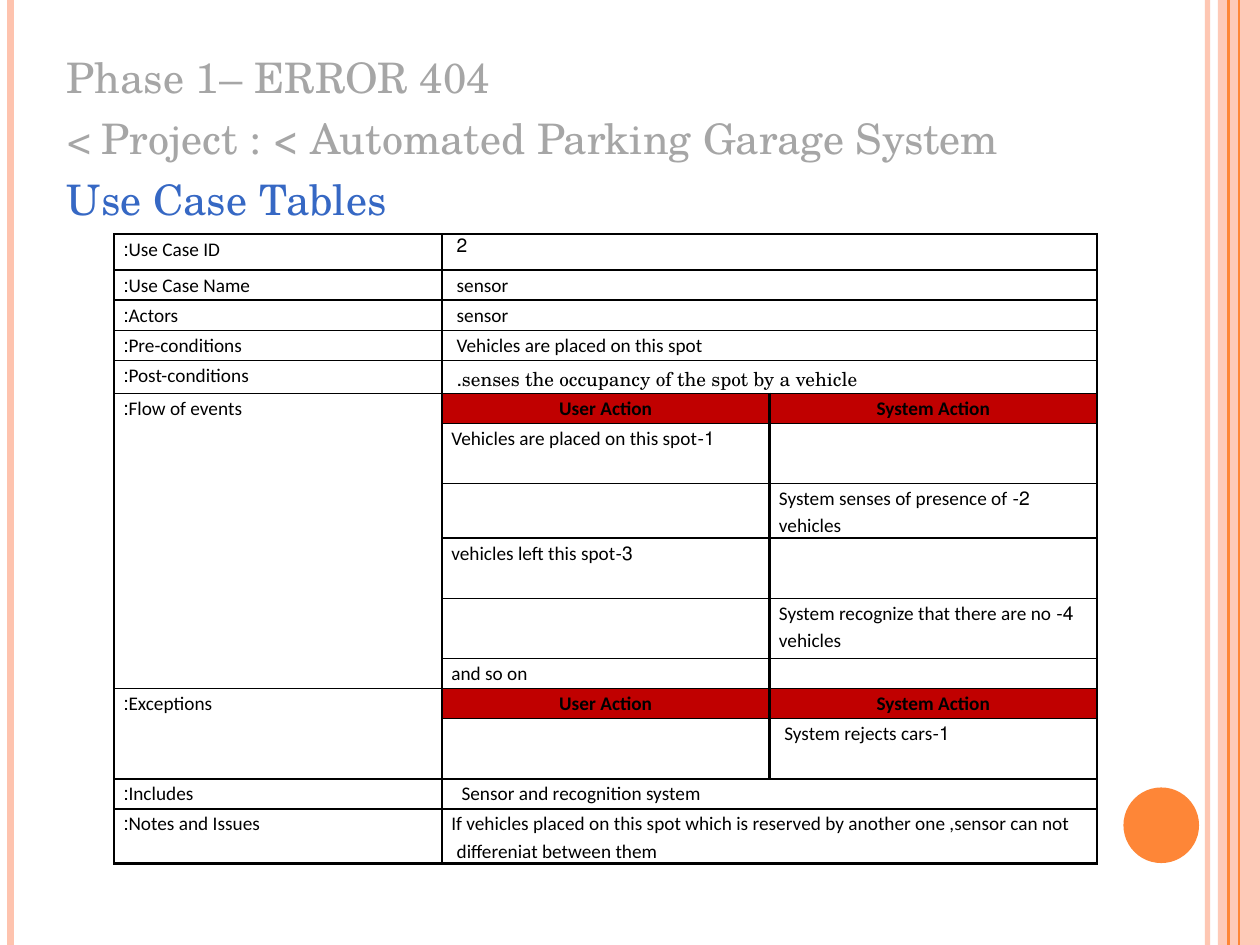
import pptx
import pptx.util
import pptx.dml.color
import pptx.enum.dml
import pptx.enum.shapes
import pptx.enum.text
import pptx.oxml
import pptx.oxml.ns
from lxml import etree

Pt = pptx.util.Pt
RGB = pptx.dml.color.RGBColor.from_string
qn = pptx.oxml.ns.qn
ALIGN = pptx.enum.text.PP_ALIGN

THEME = {
    "orange": "FE8637", "peach": "FEC3AE", "gray": "A6A6A6", "blue": "3668C4",
    "red": "C00000", "black": "000000",
    "serif": "TeX Gyre Schola", "sans": "Calibri",
    "heading": 24, "cell": 11, "stop": 12,
}


def add_run(p, text, font, size, color, bold=False):
    """Add one formatted run to a right-to-left paragraph."""
    p._p.get_or_add_pPr().set("rtl", "1")
    r = p.add_run()
    r.text = text
    r.font.name, r.font.size, r.font.bold = font, Pt(size), bold
    r.font.color.rgb = RGB(color)


def add_borders(cell, widths):
    """Give a cell solid borders; widths maps the sides L, R, T, B to points."""
    tcPr = cell._tc.get_or_add_tcPr()
    for i, side in enumerate(s for s in "LRTB" if s in widths):
        ln = etree.Element(qn("a:ln" + side), w=str(Pt(widths[side])))
        fill = etree.SubElement(ln, qn("a:solidFill"))
        etree.SubElement(fill, qn("a:srgbClr"), val=THEME["black"])
        tcPr.insert(i, ln)


prs = pptx.Presentation()
prs.slide_width, prs.slide_height = Pt(720), Pt(540)
s = prs.slides.add_slide(prs.slide_layouts[1])
s.shapes.title._element.getparent().remove(s.shapes.title._element)

# Side stripes: x, width, colour, opacity in percent
band = s.shapes.add_shape(pptx.enum.shapes.MSO_SHAPE.RECTANGLE, Pt(696), 0, Pt(24), Pt(540))
dot = s.shapes.add_shape(pptx.enum.shapes.MSO_SHAPE.OVAL, Pt(642), Pt(450), Pt(43.2), Pt(43.2))
for shape, color, opacity in ((band, "peach", 87), (dot, "orange", 100)):
    shape.shadow.inherit = False
    shape.line.fill.background()
    shape.fill.solid()
    shape.fill.fore_color.rgb = RGB(THEME[color])
    clr = shape._element.spPr.find(".//" + qn("a:srgbClr"))
    etree.SubElement(clr, qn("a:alpha"), val=str(opacity * 1000))

stripes = [(690, 3, "peach", 93), (6, 4.5, "peach", 100),
           (702, 1.5, "orange", 100), (708, 0.75, "orange", 100)]
for x, width, color, opacity in stripes:
    stripe = s.shapes.add_connector(pptx.enum.shapes.MSO_CONNECTOR.STRAIGHT, Pt(x), 0, Pt(x), Pt(540))
    stripe.line.width = Pt(width)
    stripe.line.color.rgb = RGB(THEME[color])
    clr = stripe._element.spPr.find(".//" + qn("a:srgbClr"))
    etree.SubElement(clr, qn("a:alpha"), val=str(opacity * 1000))
    etree.SubElement(stripe._element.spPr, qn("a:effectLst"))

# Headings
body = s.placeholders[1]
body.left, body.top, body.width, body.height = Pt(31), Pt(26), Pt(641), Pt(484)
tf = body.text_frame
tf.auto_size = pptx.enum.text.MSO_AUTO_SIZE.NONE
tf.vertical_anchor = pptx.enum.text.MSO_ANCHOR.TOP
headings = [("Phase 1– ERROR 404", "gray"),
            ("Project : < Automated Parking Garage System >", "gray"),
            ("Use Case Tables", "blue")]
for i, (text, color) in enumerate(headings):
    p = tf.add_paragraph() if i else tf.paragraphs[0]
    p.alignment = ALIGN.LEFT
    p.space_before = Pt(6)
    pPr = p._p.get_or_add_pPr()
    pPr.set("marL", "0")
    pPr.set("indent", "0")
    etree.SubElement(pPr, qn("a:buNone"))
    add_run(p, text, THEME["serif"], THEME["heading"], THEME[color])

# Use case table: height, then cell texts; a two-item row spans columns 2-3
HEADER = ("User Action", "System Action")
rows = [
    (20.6, "Use Case ID:", "2\u00a0"),
    (17.2, "Use Case Name:", "sensor\u00a0"),
    (17.2, "Actors:", "sensor\u00a0"),
    (17.2, "Pre-conditions:", "Vehicles are placed on this spot\u00a0"),
    (18.9, "Post-conditions:", "senses the occupancy of the spot by a vehicle.\u00a0"),
    (17.2, "Flow\u00a0of\u00a0events:", *HEADER),
    (34.4, "", "1-Vehicles are placed on this spot", ""),
    (31.2, "", "", "2- System senses of presence of vehicles"),
    (34.4, "", "3-vehicles left this spot", ""),
    (34.4, "", "", "4- System recognize that there are no vehicles"),
    (17.2, "", "and so on", ""),
    (17.2, "Exceptions:", *HEADER),
    (34.4, "", "", "1-System rejects cars\u00a0"),
    (17.2, "Includes:", "Sensor and recognition system \u00a0"),
    (31.2, "Notes and Issues:", "If vehicles placed on this spot which is reserved by another one ,"
                                "sensor can not differeniat between them\u00a0"),
]
frame = s.shapes.add_table(len(rows), 3, Pt(65.3), Pt(133.8), Pt(561.6), Pt(sum(r[0] for r in rows)))
table = frame.table
table.first_row = table.horz_banding = False
style = table._tbl.tblPr.find(qn("a:tableStyleId"))
style.text = "{2D5ABB26-0587-4C30-8999-92F81FD0307C}"
for column in table.columns:
    column.width = Pt(187.2)
for first, last in ((5, 10), (11, 12)):
    table.cell(first, 0).merge(table.cell(last, 0))

for i, (height, *texts) in enumerate(rows):
    table.rows[i].height = Pt(height)
    if len(texts) == 2:
        table.cell(i, 1).merge(table.cell(i, 2))
        texts.append("")
    for j, text in enumerate(texts):
        cell = table.cell(i, j)
        cell.margin_left = cell.margin_right = Pt(5.4)
        cell.margin_top = cell.margin_bottom = 0
        is_header = text in HEADER
        if is_header:
            cell.fill.solid()
            cell.fill.fore_color.rgb = RGB(THEME["red"])
        else:
            cell.fill.background()

        widths = {"L": 1.5 if j != 1 else 1,
                  "R": 1.5 if j == 2 or cell.is_merge_origin and j == 1 else 1.5 if j == 1 else 1,
                  "T": 1.5 if i == 0 else 1,
                  "B": 1.5 if i == len(rows) - 1 else 1}
        if cell.is_spanned:
            hidden = "TB" if j == 0 else "L"
            widths = {side: w for side, w in widths.items() if side not in hidden}
        add_borders(cell, widths)

        p = cell.text_frame.paragraphs[0]
        p.alignment = ALIGN.CENTER if is_header else ALIGN.LEFT
        if not text:
            p._p.get_or_add_endParaRPr().set("sz", str(THEME["cell"] * 100))
            continue
        p.line_spacing = 1.15
        p.space_after = Pt(10)
        if text.startswith("senses"):
            sentence, space = text.split(".")
            add_run(p, sentence, THEME["serif"], THEME["cell"], THEME["black"])
            add_run(p, ".", THEME["serif"], THEME["stop"], THEME["black"])
            text = space
        add_run(p, text, THEME["sans"], THEME["cell"], THEME["black"], is_header)

prs.save("out.pptx")
